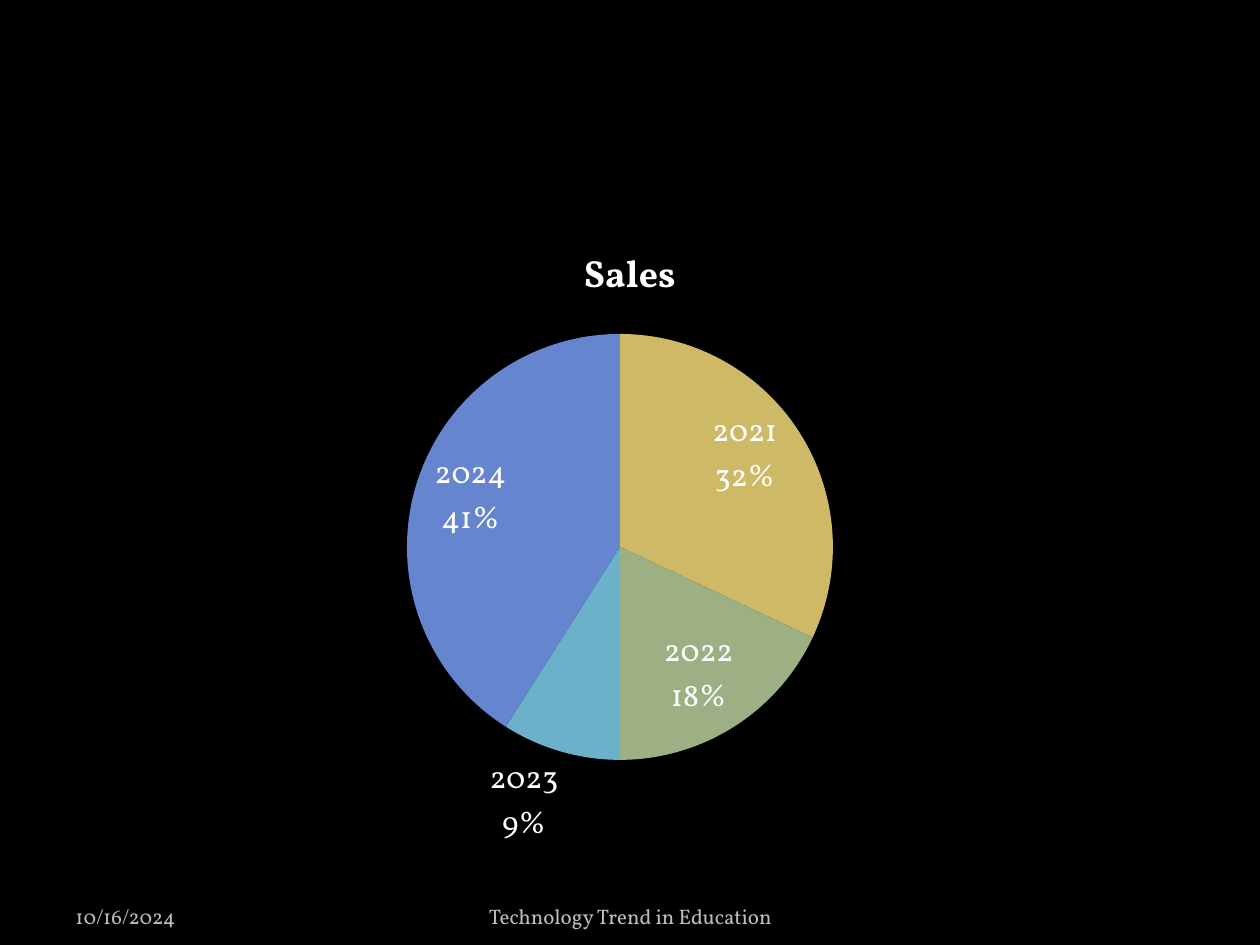
from lxml.etree import SubElement
from pptx import Presentation
from pptx.chart.data import CategoryChartData
from pptx.dml.color import RGBColor
from pptx.enum.chart import XL_CHART_TYPE, XL_LABEL_POSITION
from pptx.enum.text import MSO_ANCHOR, PP_ALIGN
from pptx.oxml.ns import qn
from pptx.util import Emu, Pt

FONT = "Vollkorn"
WHITE, GREY, BLACK = "FFFFFF", "BDBDBD", "000000"
TITLE = "Sales"
SLICES = [
    ("2021", 32, "CEB966"),
    ("2022", 18, "9CB084"),
    ("2023", 9, "6BB1C9"),
    ("2024", 41, "6585CF"),
]
CHART_BOX = (63, 220, 1134, 650)
PIE_BOX = (407, 334, 426, 426)
FOOTERS = [
    ("10/16/2024", (63, 885, 294, 50), PP_ALIGN.LEFT),
    ("Technology Trend in Education", (431, 885, 399, 50), PP_ALIGN.CENTER),
]


def px(value):
    return Emu(round(value * 914400 / 126))


def color(value):
    return RGBColor.from_string(value)


def style(font, size, value, bold=False):
    font.name = FONT
    font.size = Pt(size)
    font.bold = bold
    font.color.rgb = color(value)


def place_pie(chart):
    plot_area = chart._chartSpace.chart.plotArea
    for old in plot_area.findall(qn("c:layout")):
        plot_area.remove(old)
    layout = SubElement(plot_area, qn("c:layout"))
    plot_area.insert(0, layout)
    manual = SubElement(layout, qn("c:manualLayout"))
    left, top, width, height = CHART_BOX
    pie_left, pie_top, pie_width, pie_height = PIE_BOX
    settings = [
        ("layoutTarget", "inner"),
        ("xMode", "edge"),
        ("yMode", "edge"),
        ("x", (pie_left - left) / width),
        ("y", (pie_top - top) / height),
        ("w", pie_width / width),
        ("h", pie_height / height),
    ]
    for name, value in settings:
        SubElement(manual, qn(f"c:{name}")).set("val", str(value))


def add_pie(page):
    data = CategoryChartData()
    data.categories = [year for year, _, _ in SLICES]
    data.add_series(TITLE, [share for _, share, _ in SLICES])
    chart = page.shapes.add_chart(XL_CHART_TYPE.PIE, *map(px, CHART_BOX), data).chart
    style(chart.font, 18, WHITE)
    chart.has_legend = False
    chart.has_title = True
    span = chart.chart_title.text_frame.paragraphs[0].add_run()
    span.text = TITLE
    style(span.font, 21.6, WHITE, True)
    plot = chart.plots[0]
    plot.vary_by_categories = True
    for index, (_, _, fill) in enumerate(SLICES):
        point = plot.series[0].points[index]
        point.format.fill.solid()
        point.format.fill.fore_color.rgb = color(fill)
        point.format.line.fill.background()
    plot.has_data_labels = True
    labels = plot.data_labels
    style(labels.font, 18, WHITE)
    labels.number_format = "0%"
    labels.number_format_is_linked = False
    labels.show_value = False
    labels.show_category_name = True
    labels.show_percentage = True
    labels.position = XL_LABEL_POSITION.BEST_FIT
    separator = SubElement(labels._element, qn("c:separator"))
    separator.text = "\n"
    labels._element.find(qn("c:showBubbleSize")).addnext(separator)
    place_pie(chart)


def add_footer(page, text, place, align):
    frame = page.shapes.add_textbox(*map(px, place)).text_frame
    frame.word_wrap = True
    frame.vertical_anchor = MSO_ANCHOR.BOTTOM
    para = frame.paragraphs[0]
    para.alignment = align
    span = para.add_run()
    span.text = text
    style(span.font, 12, GREY)


def main():
    deck = Presentation()
    deck.slide_width, deck.slide_height = px(1260), px(945)
    page = deck.slides.add_slide(deck.slide_layouts[6])
    page.background.fill.solid()
    page.background.fill.fore_color.rgb = color(BLACK)
    add_pie(page)
    for footer in FOOTERS:
        add_footer(page, *footer)
    deck.save("out.pptx")


if __name__ == "__main__":
    main()
